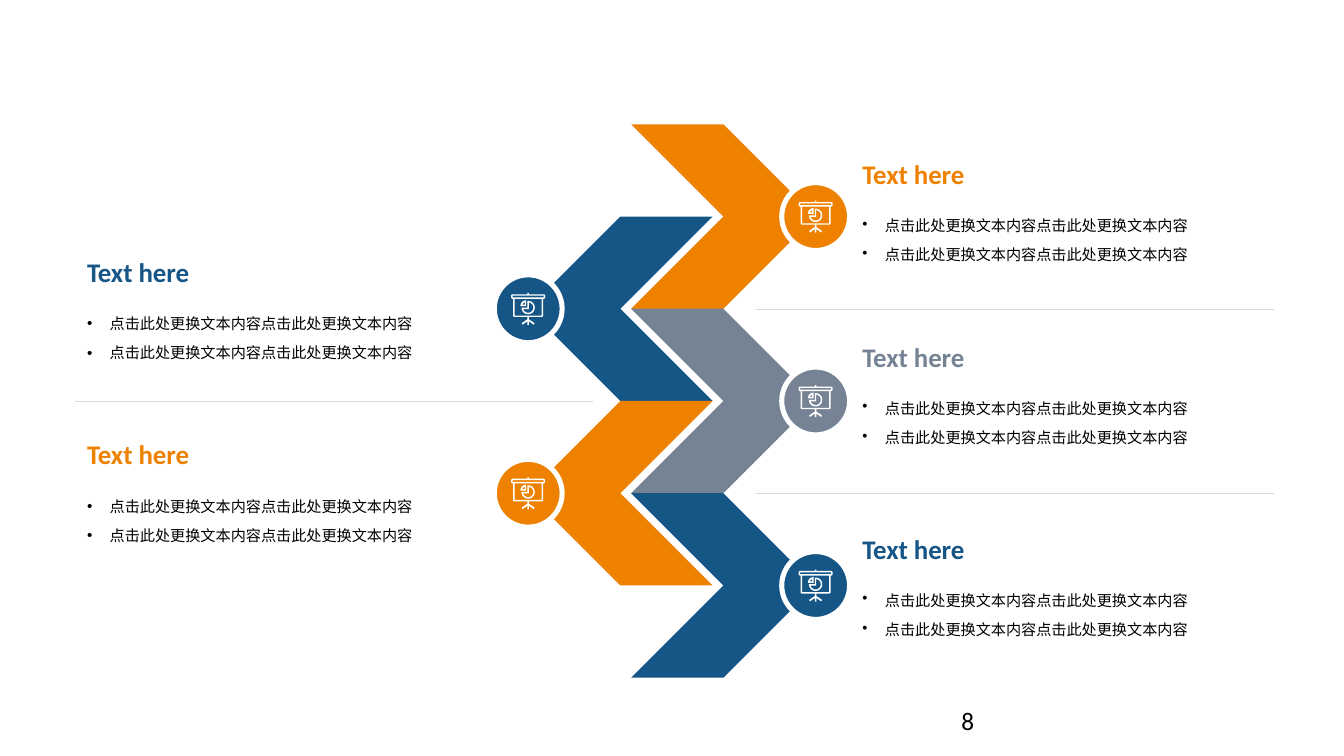
import math
import pptx
import pptx.dml.color
import pptx.enum.shapes
import pptx.enum.text
import pptx.oxml
import pptx.oxml.ns
import pptx.util

THEME = {
    "orange": "EE8100", "blue": "165687", "gray": "768395",
    "white": "FFFFFF", "black": "000000", "rule": "D9D9D9",
    "font": "Calibri", "head": 16, "list": 9, "page": 15,
}
ITEM = "点击此处更换文本内容点击此处更换文本内容"
STEP = 109.8
LEFT = {"box": (314.4, 128.9), "turn": 180, "text": 44.6, "rule": 44.6,
        "rows": [("blue", -37.6), ("orange", -38.7)]}
RIGHT = {"box": (375.7, 74), "turn": 0, "text": 506.2, "rule": 450,
         "rows": [("orange", -41), ("gray", -42), ("blue", -37.5)]}


def tint(name):
    return pptx.dml.color.RGBColor.from_string(THEME[name])


def points(*values):
    return [pptx.util.Pt(value) for value in values]


def apply(target, values):
    for key, value in values.items():
        setattr(target, key, value)


def paint(shape, color, edge=None):
    shape.shadow.inherit = False
    shape.fill.solid()
    shape.fill.fore_color.rgb = tint(color)
    if edge:
        shape.line.color.rgb = tint("white")
        shape.line.width = pptx.util.Pt(edge)
    else:
        shape.line.fill.background()


def write(slide, pool, box, lines, size, color, bold=False, bullet=False):
    holder = pool.pop(0) if pool else slide.shapes.add_textbox(*points(*box))
    apply(holder, dict(zip(("left", "top", "width", "height"), points(*box))))
    frame = holder.text_frame
    anchor = pptx.enum.text.MSO_ANCHOR
    apply(frame, {
        "word_wrap": True,
        "auto_size": pptx.enum.text.MSO_AUTO_SIZE.NONE,
        "vertical_anchor": anchor.TOP if bullet else anchor.MIDDLE,
    })
    frame.text = "\n".join(lines)
    for para in frame.paragraphs:
        apply(para, {
            "alignment": pptx.enum.text.PP_ALIGN.LEFT,
            "line_spacing": 1.6 if bullet else 1.0,
            "space_before": pptx.util.Pt(0),
        })
        if bullet:
            props = para._p.get_or_add_pPr()
            indent = pptx.util.Pt(13.5)
            props.set("marL", str(indent))
            props.set("indent", str(-indent))
            mark = pptx.oxml.parse_xml(
                f'<a:buChar {pptx.oxml.ns.nsdecls("a")} char="•"/>')
            props.append(mark)
        font = para.runs[0].font
        apply(font, {"name": THEME["font"], "bold": bold,
                     "size": pptx.util.Pt(THEME[size])})
        font.color.rgb = tint(color)


def arc(x, y, radius, start, end):
    turns = [math.radians(start + (end - start) * i / 24) for i in range(25)]
    return [(x + radius * math.cos(a), y + radius * math.sin(a)) for a in turns]


def block(left, top, right, bottom):
    return [(left, top), (right, top), (right, bottom), (left, bottom)]


def draw_board(slide, x, y):
    half = [(146, 0), (146, 12), (272, 12), (280, 20), (280, 42), (272, 50),
            (264, 50), (264, 192), (255, 200), (146, 200), (146, 219),
            (194, 252), (186, 264), (146, 235), (146, 266)]
    outlines = [
        half + [(280 - px, py) for px, py in reversed(half)],
        block(12, 24, 268, 38),
        block(28, 50, 252, 188),
        arc(140, 122, 55, -90, 180) + [(134, 122), (134, 67)],
        arc(140, 122, 43, -83, 164) + [(145, 134)],
        arc(124, 110, 48, 180, 270) + [(124, 110)],
        [(112, 98), (112, 75), (90, 98)],
    ]
    pen = slide.shapes.build_freeform(*outlines[0][0], scale=pptx.util.Pt(0.072))
    for index, outline in enumerate(outlines):
        if index:
            pen.move_to(*outline[0])
        pen.add_line_segments(outline[1:], close=True)
    paint(pen.convert_to_shape(*points(x - 10.1, y - 9.5)), "white")


def draw_rule(slide, x, y):
    kind = pptx.enum.shapes.MSO_CONNECTOR.STRAIGHT
    rule = slide.shapes.add_connector(kind, *points(x, y, x + 308.2, y))
    rule.line.color.rgb = tint("rule")
    rule.line.width = pptx.util.Pt(0.25)
    effect = pptx.oxml.parse_xml(f'<a:effectLst {pptx.oxml.ns.nsdecls("a")}/>')
    rule._element.spPr.append(effect)


def draw_step(slide, pool, box, side, color, shift):
    x, y, size = box
    kinds = pptx.enum.shapes.MSO_SHAPE
    arrow = slide.shapes.add_shape(kinds.CHEVRON, *points(x, y, size, size))
    arrow.rotation = side["turn"]
    paint(arrow, color)
    tip = x if side["turn"] else x + size
    middle = y + size / 2
    badge = slide.shapes.add_shape(
        kinds.OVAL, *points(tip - 20.2, middle - 20.2, 40.4, 40.4))
    paint(badge, color, 3)
    draw_board(slide, tip, middle)
    top = middle + shift
    write(slide, pool, (side["text"], top, 249, 31), ["Text here"],
          "head", color, bold=True)
    write(slide, pool, (side["text"], top + 31, 249, 60.5), [ITEM, ITEM],
          "list", "black", bullet=True)


def draw_side(slide, pool, side):
    x, y = side["box"]
    for index, (color, shift) in enumerate(side["rows"]):
        top = y + index * STEP
        draw_step(slide, pool, (x, top, STEP), side, color, shift)
        if index:
            draw_rule(slide, side["rule"], top)


def main():
    deck = pptx.Presentation()
    apply(deck, {"slide_width": pptx.util.Pt(800),
                 "slide_height": pptx.util.Pt(450)})
    slide = deck.slides.add_slide(deck.slide_layouts.get_by_name("Comparison"))
    title, *pool = slide.placeholders
    title._element.getparent().remove(title._element)
    for side in (LEFT, RIGHT):
        draw_side(slide, pool, side)
    write(slide, pool, (565.2, 417, 180, 24), ["8"], "page", "black")
    deck.save("out.pptx")


if __name__ == "__main__":
    main()
